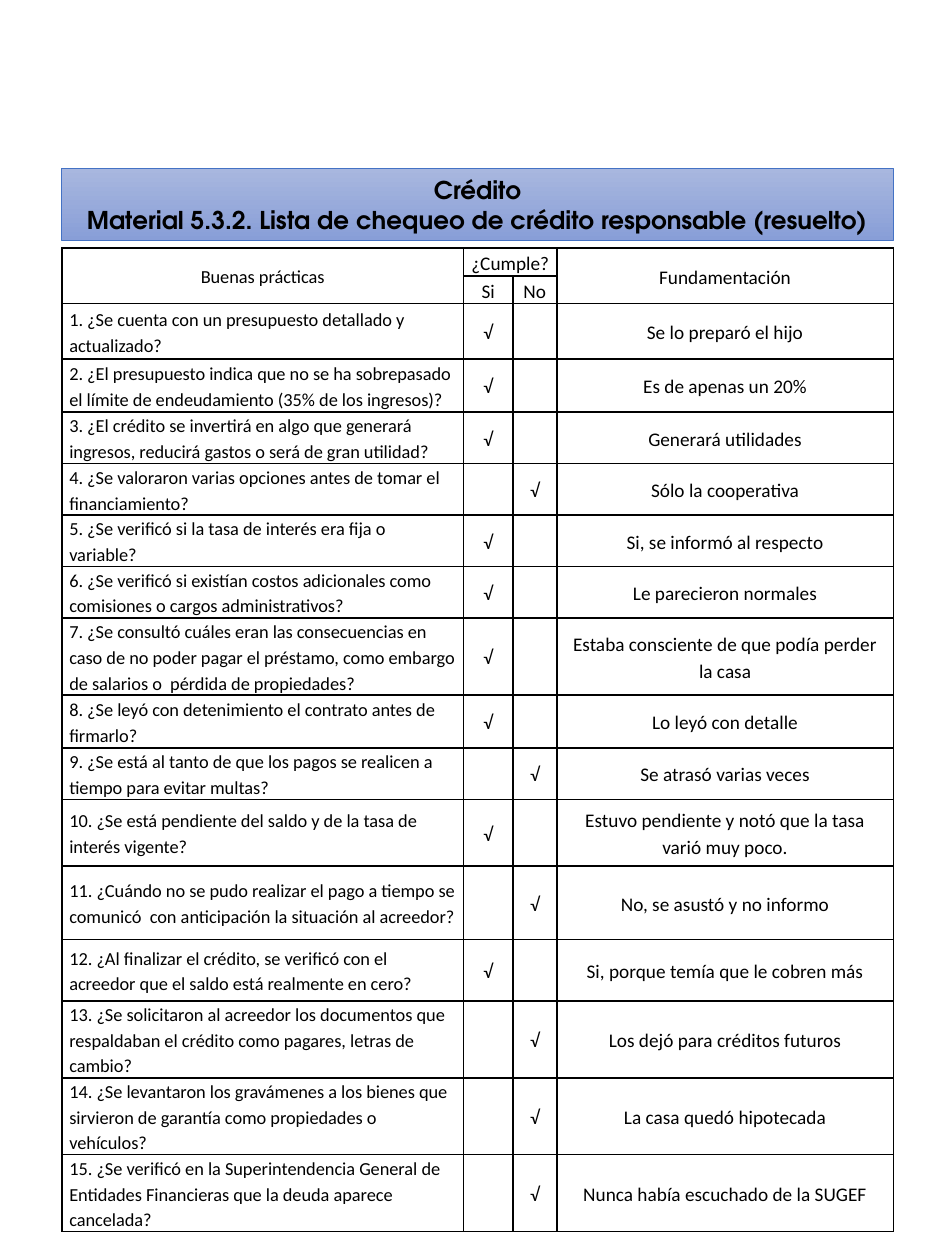
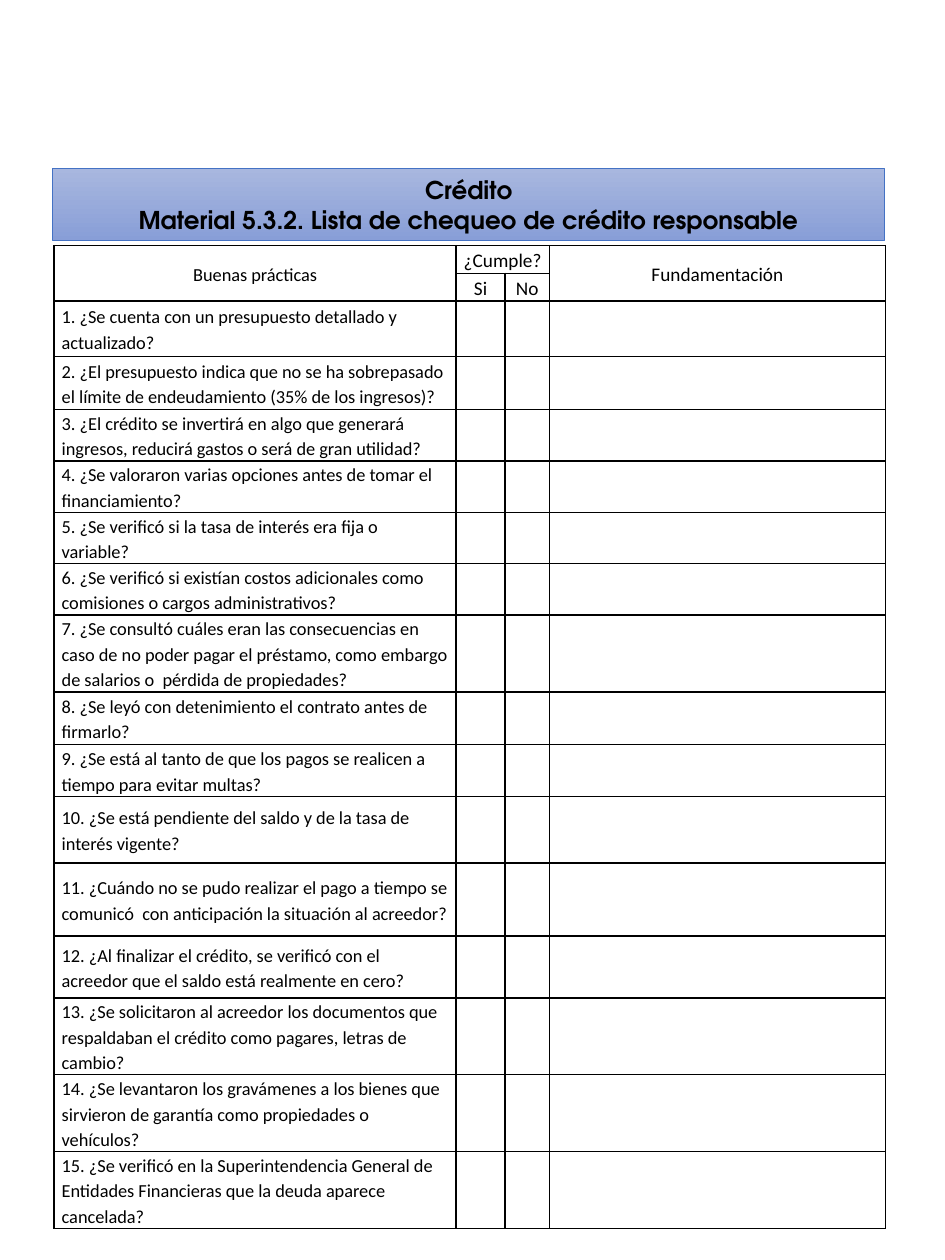
from pptx import Presentation
from pptx.dml.color import RGBColor
from pptx.enum.shapes import MSO_SHAPE as Shape
from pptx.enum.text import MSO_ANCHOR as Anchor, MSO_AUTO_SIZE as AutoSize, PP_ALIGN as Align
from pptx.oxml import parse_xml
from pptx.oxml.ns import nsdecls
from pptx.util import Inches, Pt

# Shared style
BLACK, BAND_TOP, BAND_BOTTOM, BAND_LINE = "000000", "A8B7DF", "889ED7", "4472C4"
TITLE_FONT, TABLE_FONT = "TeX Gyre Adventor", "Calibri"
PRACTICE_SIZE, ANSWER_SIZE = 10.5, 11
TABLE_WIDTH = 6.6
COLUMN_WIDTHS = [3.19, 0.39, 0.35, 2.67]
ROW_HEIGHTS = [0.22, 0.22, 0.44, 0.42, 0.41, 0.41, 0.4, 0.41, 0.61,
               0.42, 0.41, 0.53, 0.58, 0.49, 0.61, 0.61, 0.61]
TITLE = "Crédito\nMaterial 5.3.2. Lista de chequeo de crédito responsable"
CHECK = "√"

# Good practice, whether it is met, and the reason given
CHECKLIST = [
    ("¿Se cuenta con un presupuesto detallado y actualizado?",
     True, "Se lo preparó el hijo"),
    ("¿El presupuesto indica que no se ha sobrepasado el límite de endeudamiento "
     "(35% de los ingresos)?",
     True, "Es de apenas un 20%"),
    ("¿El crédito se invertirá en algo que generará ingresos, reducirá gastos "
     "o será de gran utilidad?",
     True, "Generará utilidades"),
    ("¿Se valoraron varias opciones antes de tomar el financiamiento?",
     False, "Sólo la cooperativa"),
    ("¿Se verificó si la tasa de interés era fija o variable?",
     True, "Si, se informó al respecto"),
    ("¿Se verificó si existían costos adicionales como comisiones "
     "o cargos administrativos?",
     True, "Le parecieron normales"),
    ("¿Se consultó cuáles eran las consecuencias en caso de no poder pagar el préstamo, "
     "como embargo de salarios o  pérdida de propiedades?",
     True, "Estaba consciente de que podía perder la casa"),
    ("¿Se leyó con detenimiento el contrato antes de firmarlo?",
     True, "Lo leyó con detalle"),
    ("¿Se está al tanto de que los pagos se realicen a tiempo para evitar multas?",
     False, "Se atrasó varias veces"),
    ("¿Se está pendiente del saldo y de la tasa de interés vigente?",
     True, "Estuvo pendiente y notó que la tasa varió muy poco."),
    ("¿Cuándo no se pudo realizar el pago a tiempo se comunicó  con anticipación "
     "la situación al acreedor?",
     False, "No, se asustó y no informo"),
    ("¿Al finalizar el crédito, se verificó con el acreedor que el saldo "
     "está realmente en cero?",
     True, "Si, porque temía que le cobren más"),
    ("¿Se solicitaron al acreedor los documentos que respaldaban el crédito "
     "como pagares, letras de cambio?",
     False, "Los dejó para créditos futuros"),
    ("¿Se levantaron los gravámenes a los bienes que sirvieron de garantía "
     "como propiedades o vehículos?",
     False, "La casa quedó hipotecada"),
    ("¿Se verificó en la Superintendencia General de Entidades Financieras "
     "que la deuda aparece cancelada?",
     False, "Nunca había escuchado de la SUGEF"),
]


def color(value):
    return RGBColor.from_string(value)


def format_text(text_frame, font_name, size, bold, alignment):
    for paragraph in text_frame.paragraphs:
        paragraph.alignment = alignment
        # The paragraph font also keeps empty cells small
        for font in [paragraph.font] + [run.font for run in paragraph.runs]:
            font.name, font.size, font.bold = font_name, Pt(size), bold
            font.color.rgb = color(BLACK)


presentation = Presentation()
presentation.slide_width, presentation.slide_height = Inches(7.5), Inches(10)

# Solved checklist first, then the blank one: title ending, table and band places
for ending, solved, table_left, table_top, band_left in [
        (" (resuelto)", True, 0.49, 1.97, 0.49),
        ("", False, 0.43, 1.95, 0.42)]:
    slide = presentation.slides.add_slide(presentation.slide_layouts[6])

    # Checklist table
    table = slide.shapes.add_table(
        len(ROW_HEIGHTS), len(COLUMN_WIDTHS), Inches(table_left), Inches(table_top),
        Inches(TABLE_WIDTH), Inches(sum(ROW_HEIGHTS))).table
    table.first_row = table.horz_banding = False
    for column, width in zip(table.columns, COLUMN_WIDTHS):
        column.width = Inches(width)
    for row, height in zip(table.rows, ROW_HEIGHTS):
        row.height = Inches(height)

    # Two header rows, then one row for each practice
    contents = [["Buenas prácticas", "¿Cumple?", "", "Fundamentación"],
                ["", "Si", "No", ""]]
    for number, (practice, met, reason) in enumerate(CHECKLIST, 1):
        answers = [CHECK if met else "", "" if met else CHECK, reason]
        contents.append([f"{number}. {practice}"] + (answers if solved else [""] * 3))

    for row_index, texts in enumerate(contents):
        for column_index, text in enumerate(texts):
            cell = table.cell(row_index, column_index)
            cell.text_frame.text = text
            cell.vertical_anchor = Anchor.MIDDLE
            cell.margin_left = cell.margin_right = Inches(0.06)
            cell.margin_top = cell.margin_bottom = 0
            is_practice = column_index == 0
            format_text(cell.text_frame, TABLE_FONT,
                        PRACTICE_SIZE if is_practice else ANSWER_SIZE, False,
                        Align.LEFT if is_practice and row_index > 1 else Align.CENTER)
            cell.text_frame.paragraphs[0].line_spacing = 1.15
            properties = cell._tc.get_or_add_tcPr()
            for side in "LRTB":
                properties.append(parse_xml(
                    f'<a:ln{side} {nsdecls("a")} w="{Pt(1)}"><a:solidFill>'
                    f'<a:srgbClr val="{BLACK}"/></a:solidFill></a:ln{side}>'))
            cell.fill.background()

    # Header spans
    table.cell(0, 0).merge(table.cell(1, 0))
    table.cell(0, 1).merge(table.cell(0, 2))
    table.cell(0, 3).merge(table.cell(1, 3))

    # Title band
    band = slide.shapes.add_shape(Shape.RECTANGLE, Inches(band_left), Inches(1.34),
                                  Inches(TABLE_WIDTH), Inches(0.57))
    band.shadow.inherit = False
    band.fill.gradient()
    band.fill.gradient_angle = 270
    for stop, value in zip(band.fill.gradient_stops, [BAND_TOP, BAND_BOTTOM]):
        stop.color.rgb = color(value)
    band.line.color.rgb = color(BAND_LINE)
    band.line.width = Pt(0.5)
    band.text_frame.text = TITLE + ending
    band.text_frame.word_wrap = True
    band.text_frame.auto_size = AutoSize.SHAPE_TO_FIT_TEXT
    format_text(band.text_frame, TITLE_FONT, 14, True, Align.CENTER)

presentation.save("out.pptx")
